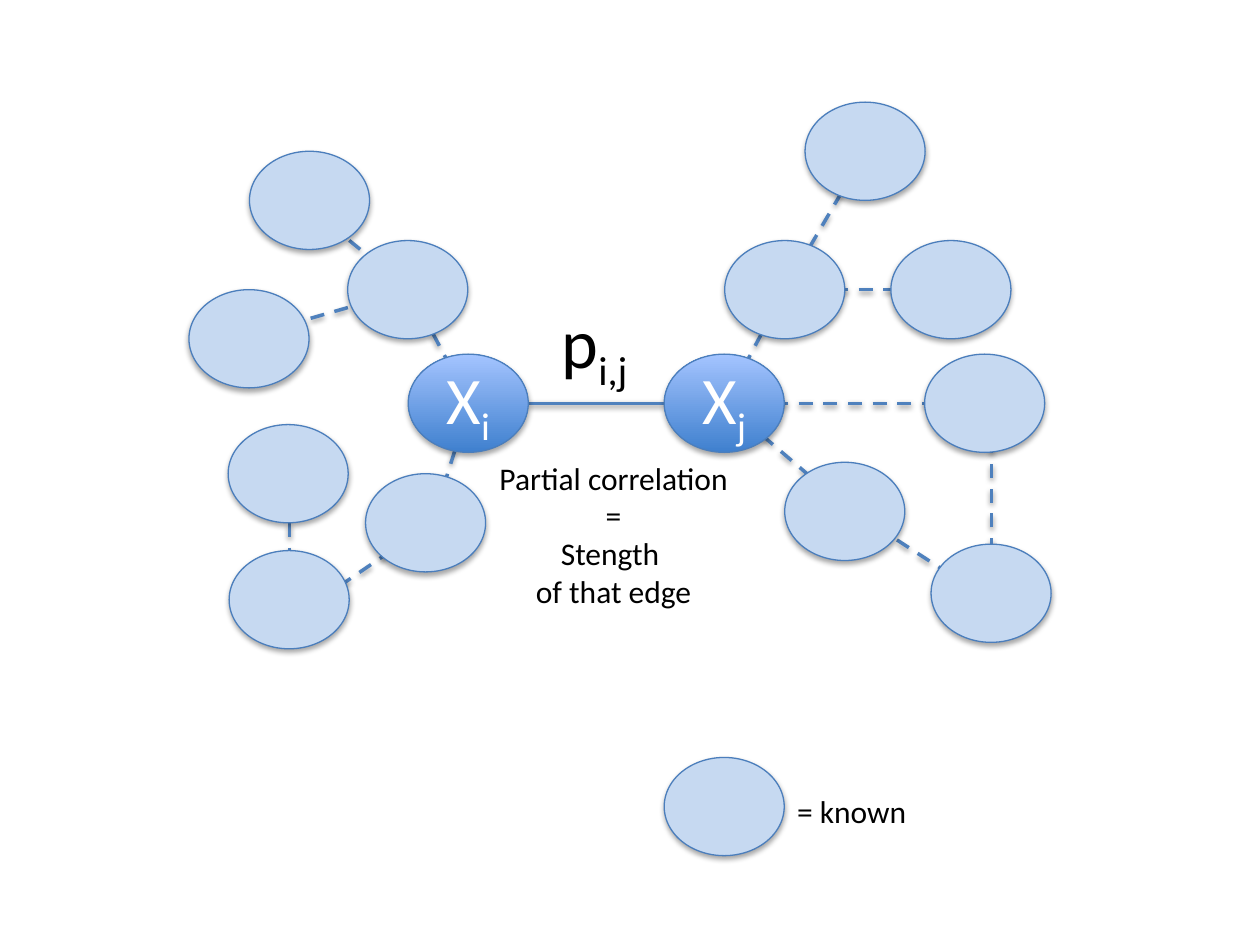
from dataclasses import dataclass
from typing import Any, NamedTuple

from lxml import etree
from pptx import Presentation
from pptx.dml.color import RGBColor
from pptx.enum.dml import MSO_LINE
from pptx.enum.shapes import MSO_CONNECTOR, MSO_SHAPE
from pptx.enum.text import MSO_ANCHOR, MSO_AUTO_SIZE, PP_ALIGN
from pptx.oxml.ns import qn
from pptx.util import Cm, Pt

ELLIPSE = MSO_SHAPE.OVAL
STRAIGHT = MSO_CONNECTOR.STRAIGHT
DASH = MSO_LINE.DASH
CENTER = PP_ALIGN.CENTER
LEFT = PP_ALIGN.LEFT
MIDDLE = MSO_ANCHOR.MIDDLE
FIT_SHAPE = MSO_AUTO_SIZE.SHAPE_TO_FIT_TEXT

NODE_WIDTH = 2.42
NODE_HEIGHT = 1.98


@dataclass(frozen=True)
class Theme:
    font: str = "Calibri"
    known_fill: RGBColor = RGBColor(0xC6, 0xD9, 0xF1)
    variable_bottom: RGBColor = RGBColor(0x3F, 0x80, 0xCE)
    variable_top: RGBColor = RGBColor(0xA4, 0xC4, 0xFF)
    outline: RGBColor = RGBColor(0x4B, 0x7E, 0xBC)
    edge: RGBColor = RGBColor(0x4F, 0x81, 0xBD)
    text: RGBColor = RGBColor(0, 0, 0)
    variable_text: RGBColor = RGBColor(0xFF, 0xFF, 0xFF)
    body_size: int = 18
    variable_size: int = 38
    weight_size: int = 40
    outline_width: float = 0.75
    edge_width: float = 2


class Point(NamedTuple):
    x: float
    y: float


class Node(NamedTuple):
    left: float
    top: float
    hub: Point
    subscript: str = ""


class Shadow(NamedTuple):
    distance: float
    opacity: int


class Label(NamedTuple):
    left: float
    top: float
    width: float
    height: float
    lines: list[str]
    size: int
    alignment: Any = LEFT
    wrap: bool = False
    subscript: str = ""


THEME = Theme()
NODE_SHADOW = Shadow(1.8, 35)
EDGE_SHADOW = Shadow(1.6, 38)

NODES = {
    "x_i": Node(8.23, 7.14, Point(9.47, 8.13), "i"),
    "left_top": Node(5.03, 3.05, Point(6.27, 4.22)),
    "left_outer": Node(3.81, 5.84, Point(4.83, 6.83)),
    "left_upper": Node(7.01, 4.85, Point(8.26, 5.84)),
    "left_middle": Node(4.6, 8.56, Point(5.84, 9.55)),
    "left_lower": Node(7.37, 9.55, Point(8.71, 10.54)),
    "left_bottom": Node(4.62, 11.1, Point(5.84, 12.5)),
    "right_outer": Node(17.96, 4.85, Point(19.25, 5.84)),
    "right_top": Node(16.23, 2.06, Point(17.45, 3.05)),
    "right_middle": Node(18.64, 7.14, Point(19.99, 8.13)),
    "right_lower": Node(15.82, 9.32, Point(17.04, 10.21)),
    "right_bottom": Node(18.77, 10.97, Point(19.99, 12.12)),
    "right_upper": Node(14.61, 4.85, Point(15.82, 5.84)),
    "x_j": Node(13.39, 7.14, Point(14.61, 8.13), "j"),
    "legend": Node(13.39, 15.27, Point(14.61, 16.26)),
}

DASHED_EDGES = [
    ("right_upper", "x_j"),
    ("right_upper", "right_top"),
    ("right_upper", "right_outer"),
    ("x_j", "right_middle"),
    ("right_bottom", "right_middle"),
    ("x_j", "right_lower"),
    ("right_bottom", "right_lower"),
    ("left_outer", "left_upper"),
    ("left_top", "left_upper"),
    ("left_upper", "x_i"),
    ("left_middle", "left_bottom"),
    ("left_lower", "left_bottom"),
    ("x_i", "left_lower"),
]

LABELS = [
    Label(15.82, 15.85, 2.74, 1.02, ["= known"], THEME.body_size),
    Label(11.07, 5.89, 3.53, 1.96, ["p"], THEME.weight_size, wrap=True, subscript="i,j"),
    Label(9.78, 9.12, 5.18, 3.33,
          ["Partial correlation ", "=", "Stength ", "of that edge"],
          THEME.body_size, CENTER),
]


def apply_format(target: Any, values: dict[str, Any]) -> None:
    for name, value in values.items():
        setattr(target, name, value)


def add_shadow(effects: Any, shadow: Shadow) -> None:
    outer = etree.SubElement(
        effects, qn("a:outerShdw"), blurRad=str(Pt(3.1)),
        dist=str(Pt(shadow.distance)), dir="5400000", rotWithShape="0")
    color = etree.SubElement(outer, qn("a:srgbClr"), val="000000")
    etree.SubElement(color, qn("a:alpha"), val=str(shadow.opacity * 1000))


def add_run(paragraph: Any, text: str, size: int, color: RGBColor, subscript: bool = False) -> None:
    run = paragraph.add_run()
    run.text = text
    apply_format(run.font, {"name": THEME.font, "size": Pt(size)})
    run.font.color.rgb = color
    if subscript:
        run._r.get_or_add_rPr().set("baseline", "-25000")


def add_edge(slide: Any, start: Point, end: Point, dash: Any = None) -> None:
    connector = slide.shapes.add_connector(
        STRAIGHT, Cm(start.x), Cm(start.y), Cm(end.x), Cm(end.y))
    apply_format(connector.line, {"width": Pt(THEME.edge_width), "dash_style": dash})
    connector.line.color.rgb = THEME.edge
    effects = etree.SubElement(connector._element.spPr, qn("a:effectLst"))
    add_shadow(effects, EDGE_SHADOW)


def add_node(slide: Any, node: Node) -> None:
    shape = slide.shapes.add_shape(
        ELLIPSE, Cm(node.left), Cm(node.top), Cm(NODE_WIDTH), Cm(NODE_HEIGHT))
    shape.line.color.rgb = THEME.outline
    shape.line.width = Pt(THEME.outline_width)
    if node.subscript:
        shape.fill.gradient()
        shape.fill.gradient_angle = 90
        for stop, color in zip(shape.fill.gradient_stops,
                               (THEME.variable_bottom, THEME.variable_top)):
            stop.color.rgb = color
        shape.text_frame.vertical_anchor = MIDDLE
        paragraph = shape.text_frame.paragraphs[0]
        paragraph.alignment = CENTER
        add_run(paragraph, "X", THEME.variable_size, THEME.variable_text)
        add_run(paragraph, node.subscript, THEME.variable_size, THEME.variable_text, True)
    else:
        shape.fill.solid()
        shape.fill.fore_color.rgb = THEME.known_fill
    shape.shadow.inherit = False
    add_shadow(shape._element.spPr.find(qn("a:effectLst")), NODE_SHADOW)


def add_label(slide: Any, label: Label) -> None:
    box = slide.shapes.add_textbox(
        Cm(label.left), Cm(label.top), Cm(label.width), Cm(label.height))
    frame = box.text_frame
    apply_format(frame, {"word_wrap": label.wrap, "auto_size": FIT_SHAPE})
    for index, line in enumerate(label.lines):
        paragraph = frame.add_paragraph() if index else frame.paragraphs[0]
        paragraph.alignment = label.alignment
        add_run(paragraph, line, label.size, THEME.text)
    if label.subscript:
        add_run(paragraph, label.subscript, label.size, THEME.text, True)


def main() -> None:
    presentation = Presentation()
    apply_format(presentation, {"slide_width": Cm(25.4), "slide_height": Cm(19.05)})
    slide = presentation.slides.add_slide(presentation.slide_layouts[6])
    x_i, x_j = NODES["x_i"], NODES["x_j"]
    add_edge(slide, Point(x_i.left + NODE_WIDTH, x_i.hub.y), Point(x_j.left, x_j.hub.y))
    for start, end in DASHED_EDGES:
        add_edge(slide, NODES[start].hub, NODES[end].hub, DASH)
    for node in NODES.values():
        add_node(slide, node)
    for label in LABELS:
        add_label(slide, label)
    presentation.save("out.pptx")


if __name__ == "__main__":
    main()
